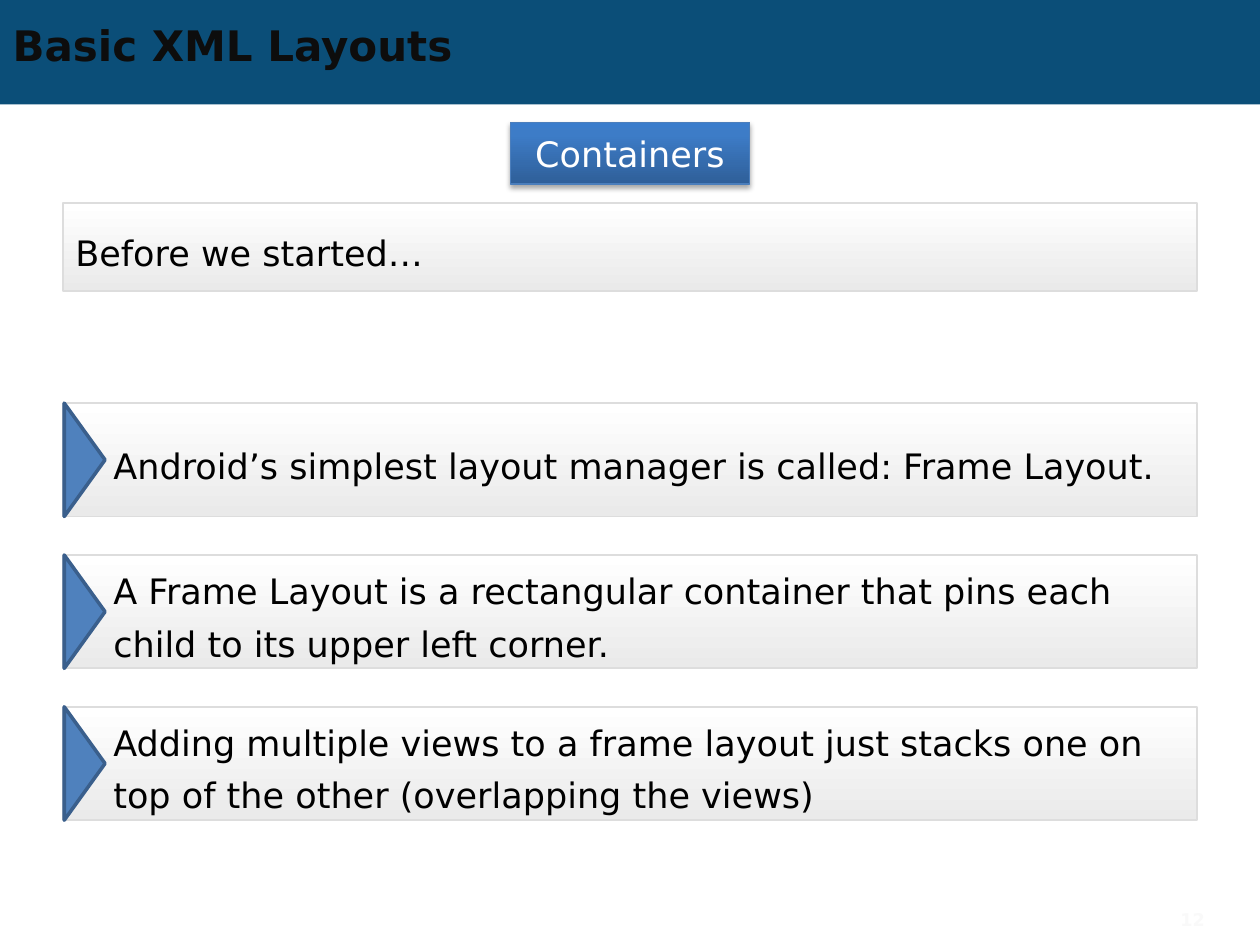
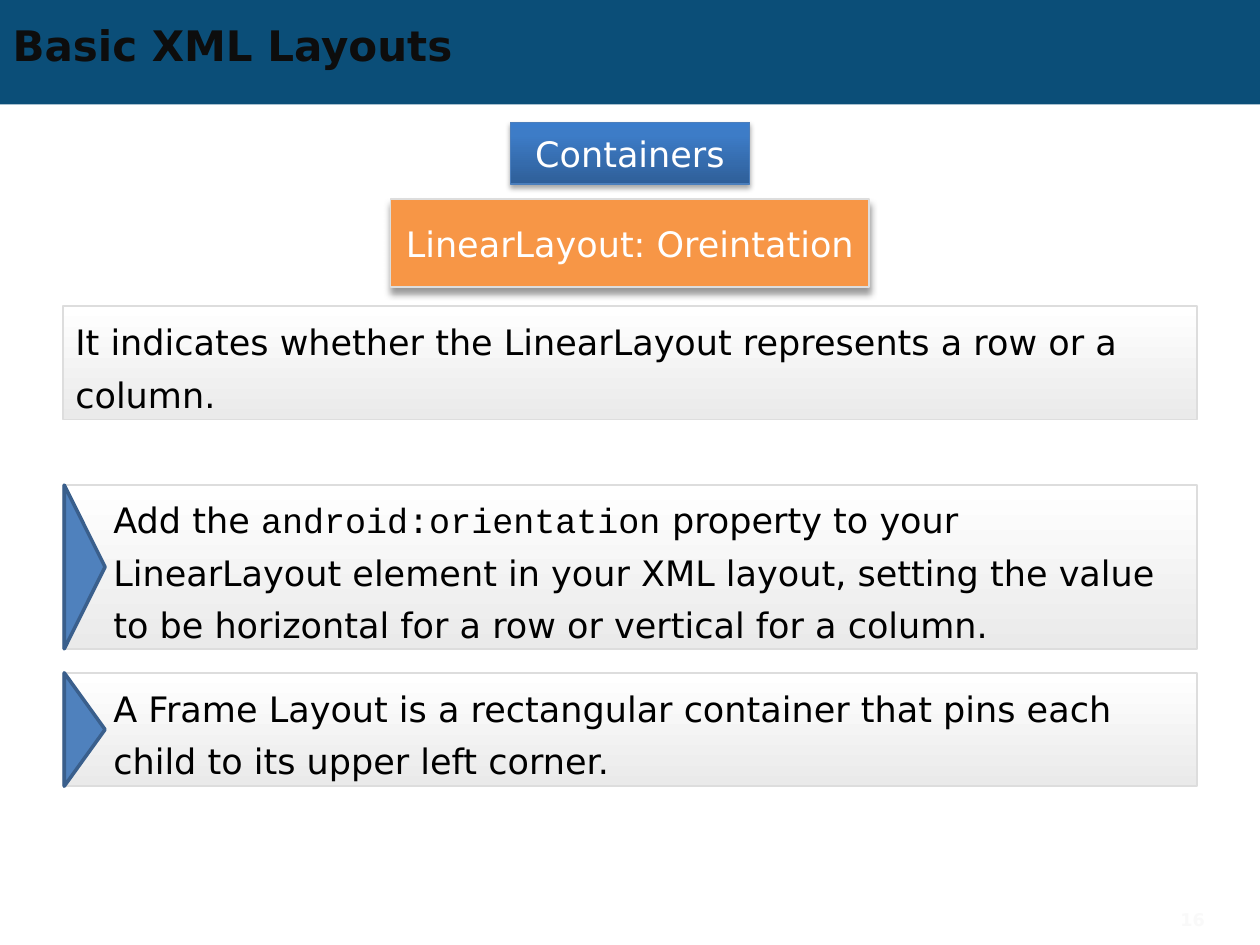
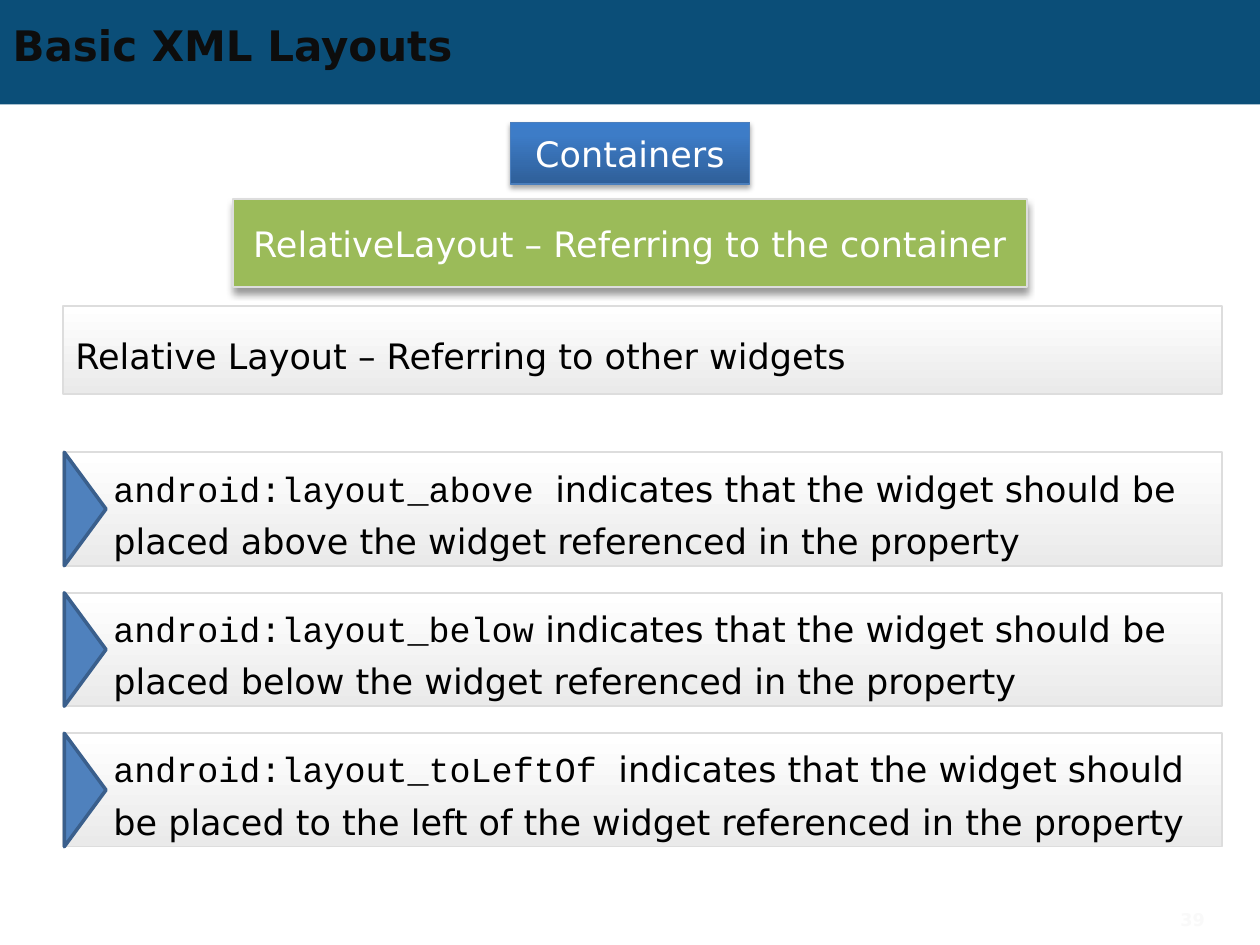
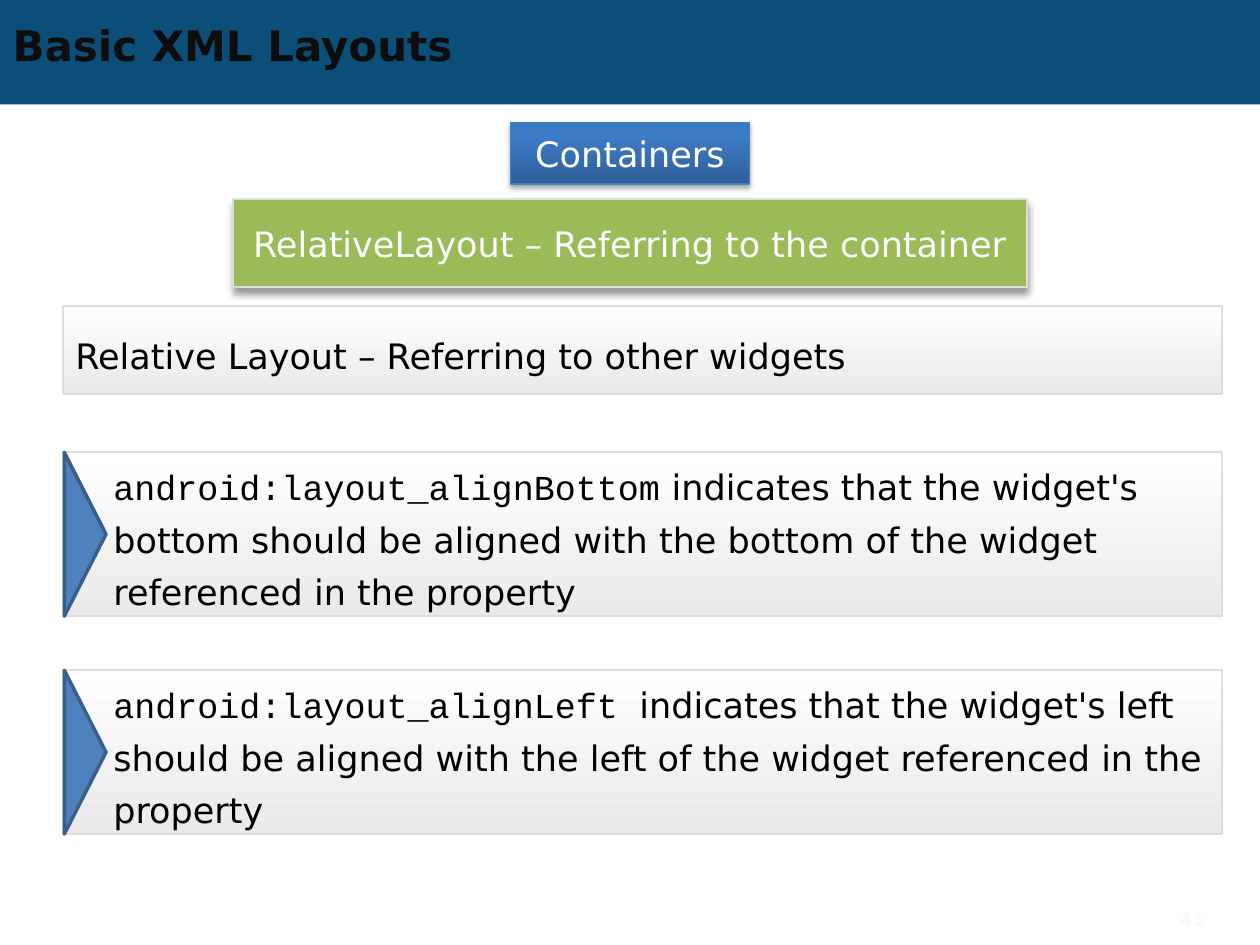
from copy import deepcopy

from lxml import etree
from pptx import Presentation
from pptx.dml.color import RGBColor
from pptx.enum.shapes import MSO_SHAPE
from pptx.enum.text import MSO_ANCHOR, MSO_AUTO_SIZE, PP_ALIGN
from pptx.oxml.ns import qn
from pptx.util import Inches, Pt

RECTANGLE = MSO_SHAPE.RECTANGLE
TRIANGLE = MSO_SHAPE.ISOSCELES_TRIANGLE
LEFT, CENTER, RIGHT = PP_ALIGN.LEFT, PP_ALIGN.CENTER, PP_ALIGN.RIGHT
MIDDLE = MSO_ANCHOR.MIDDLE
NO_RESIZE = MSO_AUTO_SIZE.NONE

SLIDE_WIDTH, SLIDE_HEIGHT = Inches(10), Inches(7.5)
COLUMN = SLIDE_WIDTH / 100
ROW = SLIDE_HEIGHT / 75

BLACK = RGBColor(0x00, 0x00, 0x00)
WHITE = RGBColor(0xFF, 0xFF, 0xFF)
TITLE_INK = RGBColor(0x0D, 0x0D, 0x0D)
BAND_BLUE = RGBColor(0x0B, 0x4E, 0x78)
BADGE_DARK = RGBColor(0x2F, 0x5F, 0x99)
BADGE_MIDDLE = RGBColor(0x3D, 0x7C, 0xC7)
BADGE_LIGHT = RGBColor(0x3A, 0x7C, 0xCB)
BADGE_LINE = RGBColor(0x4B, 0x7E, 0xBC)
PANEL_GRAY = RGBColor(0xEA, 0xEA, 0xEA)
PANEL_LINE = RGBColor(0xDD, 0xDD, 0xDD)
MARKER_BLUE = RGBColor(0x4F, 0x81, 0xBD)
MARKER_LINE = RGBColor(0x3A, 0x5F, 0x8C)
ORANGE = RGBColor(0xF7, 0x96, 0x46)
GREEN = RGBColor(0x9B, 0xBB, 0x59)
NUMBER_GRAY = RGBColor(0xF9, 0xF9, 0xF9)

TEXT_FONT = "DejaVu Sans"
CODE_FONT = "Courier New"
TITLE = "Basic XML Layouts"
PANEL_LEFT = 5
MARKER_SHARE = 0.036
LINE_PITCH = 30
TWO_LINES, THREE_LINES = 9, 13

PANEL_STOPS = [(0, WHITE), (1, PANEL_GRAY)]
BADGE_STOPS = [(0, BADGE_DARK), (0.8, BADGE_MIDDLE), (1, BADGE_LIGHT)]


def place(left, top, width, height):
    return [round(length) for length in
            (left * COLUMN, top * ROW, width * COLUMN, height * ROW)]


def write(frame, text, size=20, color=BLACK, bold=False, align=LEFT,
          line_pitch=None, insets=(0.1, 0.05, 0.1, 0.05)):
    frame.word_wrap = True
    frame.auto_size = NO_RESIZE
    frame.vertical_anchor = MIDDLE
    (frame.margin_left, frame.margin_top,
     frame.margin_right, frame.margin_bottom) = map(Inches, insets)
    paragraph = frame.paragraphs[0]
    paragraph.alignment = align
    if line_pitch:
        paragraph.line_spacing = Pt(line_pitch)
    for index, piece in enumerate(text.split("`")):
        if piece:
            run = paragraph.add_run()
            run.text = piece
            run.font.name = CODE_FONT if index % 2 else TEXT_FONT
            run.font.size = Pt(size)
            run.font.bold = bold
            run.font.color.rgb = color


def draw(shapes, kind, box, fill=None, line=None, line_width=1):
    shape = shapes.add_shape(kind, *place(*box))
    shape.shadow.inherit = False
    if fill:
        shape.fill.solid()
        shape.fill.fore_color.rgb = fill
    if line:
        shape.line.color.rgb = line
        shape.line.width = Pt(line_width)
    else:
        shape.line.fill.background()
    return shape


def shade(shape, stops, angle):
    shape.fill.gradient()
    shape.fill.gradient_angle = angle
    stop_list = shape.element.spPr.find(".//" + qn("a:gsLst"))
    for _ in stops[2:]:
        stop_list.append(deepcopy(stop_list[-1]))
    for stop, (position, color) in zip(shape.fill.gradient_stops, stops):
        stop.position = position
        stop.color.rgb = color


def cast_shadow(shape, opacity, blur, distance):
    effects = shape.element.spPr.find(qn("a:effectLst"))
    shadow = etree.SubElement(effects, qn("a:outerShdw"), blurRad=str(Pt(blur)),
                              dist=str(Pt(distance)), dir="5400000", rotWithShape="0")
    color = etree.SubElement(shadow, qn("a:srgbClr"), val=str(BLACK))
    etree.SubElement(color, qn("a:alpha"), val=str(opacity * 1000))


def add_band(layout, slide):
    band = draw(slide.shapes, RECTANGLE, (0, 0, 100, 8.3), BAND_BLUE)
    layout.shapes.element.insert(2, band.element)


def add_header(slide):
    title = slide.shapes.title
    title.left, title.top, title.width, title.height = place(0, 1.4, 90, 4.3)
    write(title.text_frame, TITLE, size=24, color=TITLE_INK, bold=True)
    badge = draw(slide.shapes, RECTANGLE, (40.5, 9.7, 19, 4.9),
                 line=BADGE_LINE, line_width=0.75)
    shade(badge, BADGE_STOPS, 90)
    cast_shadow(badge, 35, 3.1, 1.8)
    write(badge.text_frame, "Containers", color=WHITE, align=CENTER)


def add_topic(slide, text, width, fill):
    topic = draw(slide.shapes, RECTANGLE, ((100 - width) / 2, 15.8, width, 7),
                 fill, PANEL_LINE)
    cast_shadow(topic, 40, 4, 3)
    write(topic.text_frame, text, color=WHITE, align=CENTER, insets=(0, 0, 0, 0))


def add_panel(shapes, box, text, **text_format):
    panel = draw(shapes, RECTANGLE, box, line=PANEL_LINE)
    shade(panel, PANEL_STOPS, 270)
    write(panel.text_frame, text, line_pitch=LINE_PITCH, **text_format)


def add_point(slide, box, text):
    left, top, width, height = box
    shapes = slide.shapes.add_group_shape().shapes
    add_panel(shapes, box, text, insets=(0.4, 0, 0.1, 0))
    depth = width * MARKER_SHARE
    marker_left = left + 0.1 + (depth - height) / 2
    marker_top = top + (height - depth) / 2
    marker = draw(shapes, TRIANGLE, (marker_left, marker_top, height, depth),
                  MARKER_BLUE, MARKER_LINE, 2)
    marker.rotation = 90


def add_points(slide, points, top, width, gap):
    for height, text in points:
        add_point(slide, (PANEL_LEFT, top, width, height), text)
        top += height + gap


def add_number(slide, number):
    box = slide.shapes.add_textbox(*place(86.6, 71.5, 10, 3))
    write(box.text_frame, number, size=10, color=NUMBER_GRAY, bold=True, align=RIGHT)


def add_layout_slide(slide, number, intro, intro_top, intro_height, points,
                     points_top, gap, width=90, topic=None):
    add_header(slide)
    if topic:
        add_topic(slide, *topic)
    add_panel(slide.shapes, (PANEL_LEFT, intro_top, width, intro_height), intro)
    add_points(slide, points, points_top, width, gap)
    add_number(slide, number)


FRAME_POINT = (TWO_LINES, "A Frame Layout is a rectangular container that pins each "
                          "child to its upper left corner.")
RELATIVE = dict(
    intro="Relative Layout – Referring to other widgets", intro_top=24.3,
    intro_height=7, points_top=35.9, width=92,
    topic=("RelativeLayout – Referring to the container", 63, GREEN))

SLIDES = [
    dict(number="12", intro="Before we started…", intro_top=16.1, intro_height=7,
         points_top=32, gap=3.05, points=[
             (TWO_LINES, "Android’s simplest layout manager is called: Frame Layout."),
             FRAME_POINT,
             (TWO_LINES, "Adding multiple views to a frame layout just stacks one on "
                         "top of the other (overlapping the views)")]),
    dict(number="16", topic=("LinearLayout: Oreintation", 38, ORANGE),
         intro="It indicates whether the LinearLayout represents a row or a column.",
         intro_top=24.3, intro_height=TWO_LINES, points_top=38.5, gap=1.9, points=[
             (THREE_LINES, "Add the `android:orientation` property to your "
                           "LinearLayout element in your XML layout, setting the value "
                           "to be horizontal for a row or vertical for a column."),
             FRAME_POINT]),
    dict(number="39", gap=2.15, **RELATIVE, points=[
        (TWO_LINES, "`android:layout_above `indicates that the widget should be "
                    "placed above the widget referenced in the property"),
        (TWO_LINES, "`android:layout_below` indicates that the widget should be "
                    "placed below the widget referenced in the property"),
        (TWO_LINES, "`android:layout_toLeftOf `indicates that the widget should "
                    "be placed to the left of the widget referenced in the property")]),
    dict(number="41", gap=4.3, **RELATIVE, points=[
        (THREE_LINES, "`android:layout_alignBottom` indicates that the widget's "
                      "bottom should be aligned with the bottom of the widget "
                      "referenced in the property"),
        (THREE_LINES, "`android:layout_alignLeft `indicates that the widget's left "
                      "should be aligned with the left of the widget referenced in the "
                      "property")]),
]


def main():
    presentation = Presentation()
    presentation.slide_width, presentation.slide_height = SLIDE_WIDTH, SLIDE_HEIGHT
    layout = presentation.slide_layouts.get_by_name("Title Only")
    for index, content in enumerate(SLIDES):
        slide = presentation.slides.add_slide(layout)
        if index == 0:
            add_band(layout, slide)
        add_layout_slide(slide, **content)
    presentation.save("out.pptx")


if __name__ == "__main__":
    main()
